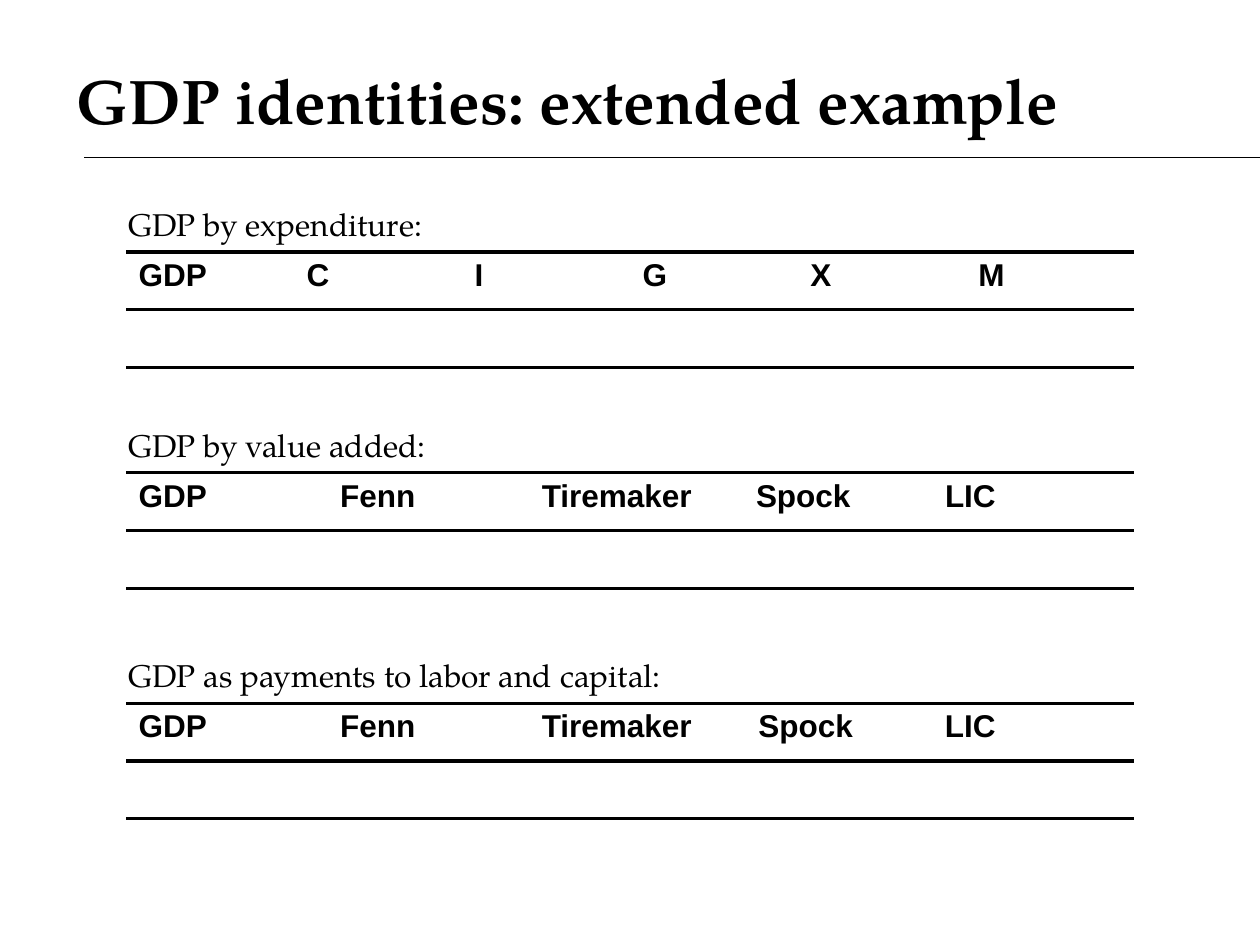
from lxml import etree
from pptx import Presentation
from pptx.dml.color import RGBColor
from pptx.enum.shapes import MSO_CONNECTOR
from pptx.enum.text import MSO_ANCHOR, PP_ALIGN
from pptx.oxml.ns import qn
from pptx.util import Inches, Pt

LINE = MSO_CONNECTOR.STRAIGHT
MIDDLE = MSO_ANCHOR.MIDDLE
TOP = MSO_ANCHOR.TOP
LEFT = PP_ALIGN.LEFT
CENTER = PP_ALIGN.CENTER
HUES = {"ink": "000000", "paper": "FFFFFF"}
SERIF = "TeX Gyre Pagella"
SANS = "Arial"
FIRMS = ["GDP", "Fenn", "Tiremaker", "Spock", "LIC"]
PARTS = [
    (2, 3.17, "GDP by expenditure:", ["GDP", "C", "I", "G", "X", "M"], [8 / 6] * 6),
    (3.75, 3.17, "GDP by value added:", FIRMS, [1.6, 1.6, 1.7, 1.5, 1.6]),
    (5.58, 5.5, "GDP as payments to labor and capital:", FIRMS,
     [1.6, 1.6, 1.72, 1.48, 1.6]),
]


def hue(name):
    return RGBColor.from_string(HUES[name])


def add_run(para, text, size, face, bold=False):
    run = para.add_run()
    run.text = text
    font = run.font
    font.size, font.name, font.bold = Pt(size), face, bold
    font.color.rgb = hue("ink")


def add_text(slide, box, text, size, bold=False, align=LEFT, anchor=TOP):
    frame = slide.shapes.add_textbox(*map(Inches, box)).text_frame
    frame.word_wrap = True
    frame.vertical_anchor = anchor
    para = frame.paragraphs[0]
    para.alignment = align
    add_run(para, text, size, SERIF, bold)


def add_title(slide, box):
    left, top, width, height = box
    rule = slide.shapes.add_connector(
        LINE, Inches(left + 0.67), Inches(top + height),
        Inches(left + 10), Inches(top + height))
    rule.line.color.rgb = hue("ink")
    rule.line.width = Pt(0.75)
    etree.SubElement(rule._element.spPr, qn("a:effectLst"))
    add_text(slide, box, "GDP identities: extended example", 36, True, CENTER, MIDDLE)


def set_edges(cell):
    props = cell._tc.get_or_add_tcPr()
    for side in ("lnL", "lnR", "lnT", "lnB"):
        edge = etree.SubElement(props, qn("a:" + side))
        if side in ("lnL", "lnR"):
            etree.SubElement(edge, qn("a:noFill"))
        else:
            edge.set("w", str(Pt(2)))
            fill = etree.SubElement(edge, qn("a:solidFill"))
            etree.SubElement(fill, qn("a:srgbClr"), val=HUES["ink"])


def add_part(slide, box, wide, label, heads, widths):
    left, top, width, height = box
    grid = slide.shapes.add_table(2, len(heads), *map(Inches, box)).table
    grid.first_row = grid.horz_banding = False
    for row in grid.rows:
        row.height = Inches(height / 2)
    for col, size in zip(grid.columns, widths):
        col.width = Inches(size)
    for cell in grid.iter_cells():
        set_edges(cell)
        cell.fill.solid()
        cell.fill.fore_color.rgb = hue("paper")
    for col, head in enumerate(heads):
        add_run(grid.cell(0, col).text_frame.paragraphs[0], head, 18, SANS, True)
    add_text(slide, (left - 0.08, top - 0.42, wide, 0.42), label, 18)


def main():
    deck = Presentation()
    deck.slide_width, deck.slide_height = Inches(10), Inches(7.5)
    slide = deck.slides.add_slide(deck.slide_layouts[6])
    add_title(slide, (0, 0.33, 9, 0.92))
    for top, *part in PARTS:
        add_part(slide, (1, top, 8, 0.92), *part)
    deck.save("out.pptx")


if __name__ == "__main__":
    main()
